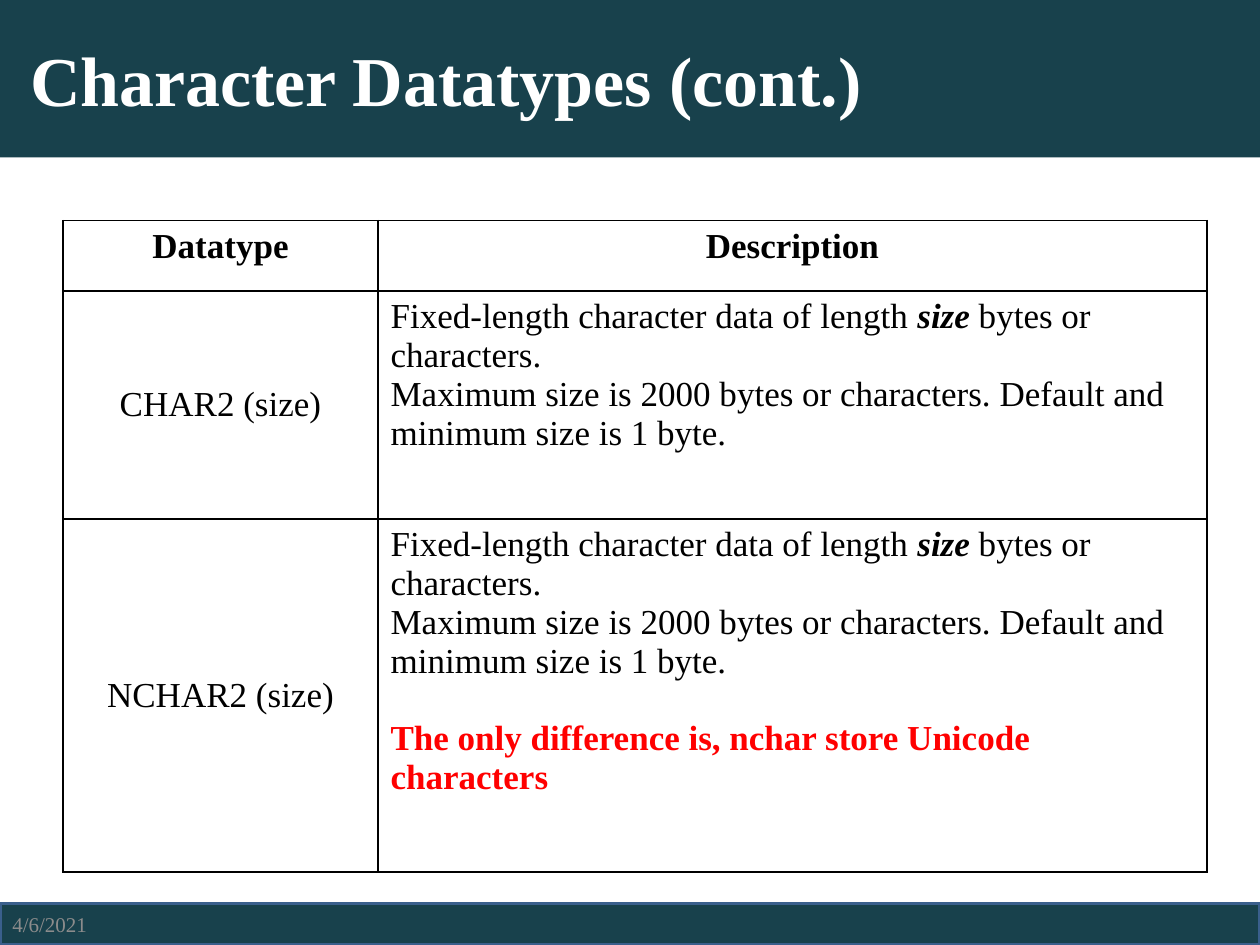
from dataclasses import dataclass

from lxml.etree import SubElement
from pptx import Presentation
from pptx.dml.color import RGBColor
from pptx.enum.shapes import MSO_SHAPE as Preset
from pptx.enum.text import MSO_ANCHOR as Anchor, PP_ALIGN as Align
from pptx.oxml.ns import qn
from pptx.util import Inches, Pt


@dataclass(frozen=True)
class Theme:
    font: str = "Times New Roman"
    band: str = "18414C"
    band_edge: str = "3A5F8C"
    paper: str = "FFFFFF"
    ink: str = "000000"
    alert: str = "FF0000"
    muted: str = "8C8C8C"
    title_size: int = 40
    body_size: int = 20
    date_size: int = 12


THEME = Theme()


@dataclass(frozen=True)
class Span:
    text: str
    bold: bool = False
    italic: bool = False
    color: str = THEME.ink
    size: int = THEME.body_size


@dataclass(frozen=True)
class Para:
    spans: tuple[Span, ...]
    align: Align = Align.LEFT
    space_before: float = 0


@dataclass(frozen=True)
class Cell:
    paras: tuple[Para, ...]
    anchor: Anchor = Anchor.TOP


def write(frame, paras: tuple[Para, ...]) -> None:
    frame.word_wrap = True
    for index, para in enumerate(paras):
        target = frame.add_paragraph() if index else frame.paragraphs[0]
        target.alignment = para.align
        target.space_before = Pt(para.space_before)
        for span in para.spans:
            run = target.add_run()
            run.text = span.text
            run.font.name = THEME.font
            run.font.size = Pt(span.size)
            run.font.bold = span.bold
            run.font.italic = span.italic
            run.font.color.rgb = RGBColor.from_string(span.color)


def add_band(page, top: float, height: float, edge: str | None = None):
    """Add a full-width bar, outlined only when an edge colour is given."""
    band = page.shapes.add_shape(
        Preset.RECTANGLE, 0, Inches(top), Inches(10), Inches(height))
    band.shadow.inherit = False
    band.fill.solid()
    band.fill.fore_color.rgb = RGBColor.from_string(THEME.band)
    if edge:
        band.line.color.rgb = RGBColor.from_string(edge)
        band.line.width = Pt(2)
    else:
        band.line.fill.background()
    return band


def add_borders(cell) -> None:
    properties = cell._tc.get_or_add_tcPr()
    for index, side in enumerate(("lnL", "lnR", "lnT", "lnB")):
        line = SubElement(properties, qn(f"a:{side}"), w=str(Pt(1)))
        fill = SubElement(line, qn("a:solidFill"))
        SubElement(fill, qn("a:srgbClr"), val=THEME.ink)
        properties.insert(index, line)


def add_datatype_table(page, rows: list[tuple[Cell, ...]],
                       widths: list[float], heights: list[float]) -> None:
    table = page.shapes.add_table(
        len(rows), len(widths), Inches(0.5), Inches(1.75),
        Inches(sum(widths)), Inches(sum(heights))).table
    for column, width in zip(table.columns, widths):
        column.width = Inches(width)
    for table_row, height, row in zip(table.rows, heights, rows):
        table_row.height = Inches(height)
        for target, cell in zip(table_row.cells, row):
            target.fill.solid()
            target.fill.fore_color.rgb = RGBColor.from_string(THEME.paper)
            target.vertical_anchor = cell.anchor
            write(target.text_frame, cell.paras)
            add_borders(target)


def heading(text: str) -> Cell:
    return Cell((Para((Span(text, bold=True),), Align.CENTER),))


def datatype(name: str) -> Cell:
    return Cell((Para((Span(name),), Align.CENTER),), Anchor.MIDDLE)


def main() -> None:
    deck = Presentation()
    deck.slide_width, deck.slide_height = Inches(10), Inches(7.5)
    page = deck.slides.add_slide(deck.slide_layouts[6])

    add_band(page, 7.17, 0.33, THEME.band_edge)
    title = add_band(page, 0, 1.25).text_frame
    title.margin_left = Inches(0.24)
    title.vertical_anchor = Anchor.MIDDLE
    write(title, (Para((Span("Character Datatypes (cont.)", bold=True,
                             color=THEME.paper, size=THEME.title_size),)),))

    fixed_length = (
        Para((Span("Fixed-length character data of length "),
              Span("size", bold=True, italic=True),
              Span(" bytes or characters."))),
        Para((Span("Maximum size is 2000 bytes or characters. "
                   "Default and minimum size is 1 byte."),)),
    )
    difference = Para(
        (Span("The only difference is, nchar store Unicode characters",
              bold=True, color=THEME.alert),), space_before=22)
    rows = [
        (heading("Datatype"), heading("Description")),
        (datatype("CHAR2 (size)"), Cell(fixed_length)),
        (datatype("NCHAR2 (size)"), Cell((*fixed_length, difference))),
    ]
    add_datatype_table(page, rows, [2.5, 6.58], [0.56, 1.81, 2.8])

    date = page.shapes.add_textbox(
        0, Inches(7.17), Inches(2.33), Inches(0.33)).text_frame
    date.vertical_anchor = Anchor.MIDDLE
    write(date, (Para((Span("4/6/2021", color=THEME.muted,
                            size=THEME.date_size),)),))

    deck.save("out.pptx")


if __name__ == "__main__":
    main()
